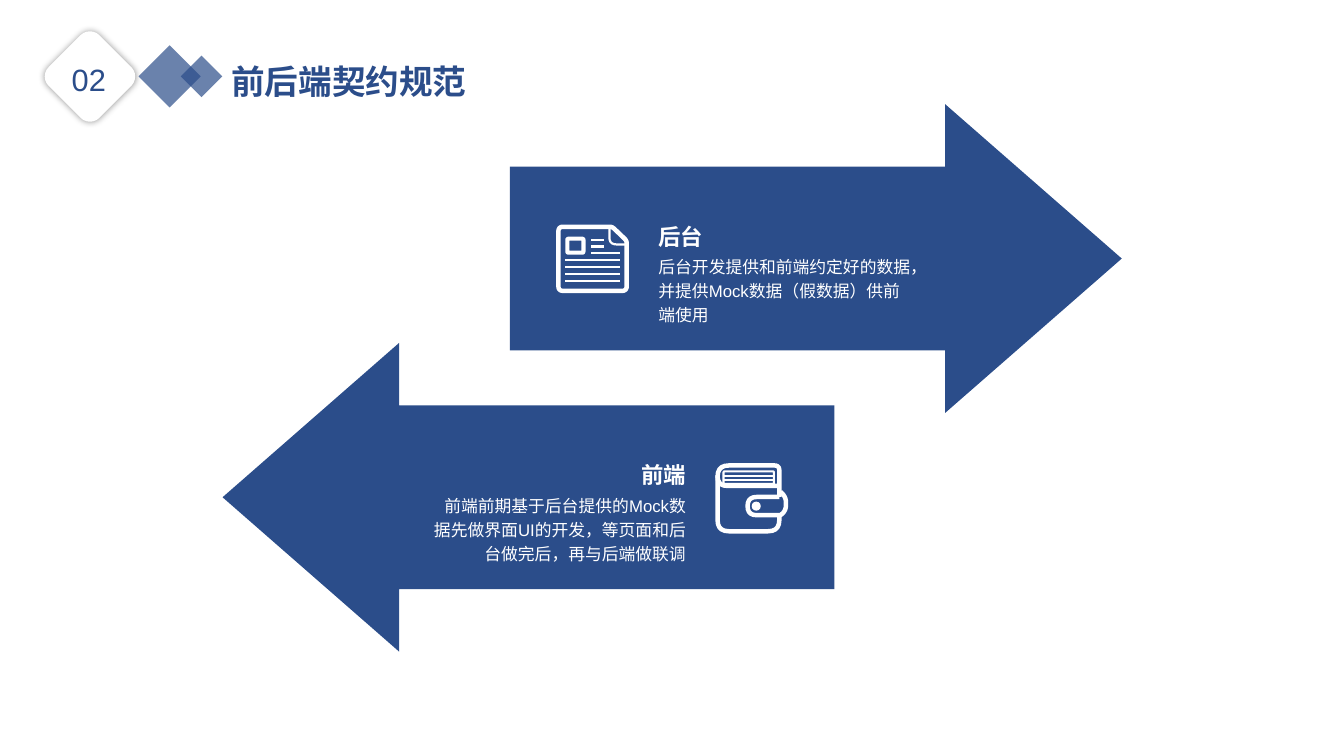
from dataclasses import dataclass

from lxml.etree import SubElement
from pptx import Presentation
from pptx.dml.color import RGBColor
from pptx.enum.lang import MSO_LANGUAGE_ID
from pptx.enum.shapes import MSO_CONNECTOR, MSO_SHAPE
from pptx.enum.text import MSO_ANCHOR, MSO_AUTO_SIZE, PP_ALIGN
from pptx.oxml.ns import qn
from pptx.util import Pt


@dataclass(frozen=True)
class Theme:
    navy: RGBColor = RGBColor(0x2B, 0x4D, 0x8A)
    white: RGBColor = RGBColor(0xFF, 0xFF, 0xFF)
    font: str = "Arial"
    title: float = 24
    number: float = 22
    heading: float = 16
    body: float = 12


THEME = Theme()


def place(item, left, top, width, height):
    item.left, item.top = Pt(left), Pt(top)
    item.width, item.height = Pt(width), Pt(height)


def write(holder, text, size, color, bold=False, align=PP_ALIGN.LEFT, inset=(0, 0)):
    """Fill a text box or placeholder with one unbulleted paragraph."""
    frame = holder.text_frame
    frame.text = text
    frame.word_wrap = True
    frame.auto_size = MSO_AUTO_SIZE.NONE
    frame.vertical_anchor = MSO_ANCHOR.TOP
    frame.margin_left = frame.margin_right = Pt(inset[0])
    frame.margin_top = frame.margin_bottom = Pt(inset[1])
    paragraph = frame.paragraphs[0]
    paragraph.alignment = align
    paragraph.line_spacing = 1.2
    paragraph.space_before = Pt(0)
    properties = paragraph._p.get_or_add_pPr()
    properties.set("marL", "0")
    properties.set("indent", "0")
    SubElement(properties, qn("a:buNone"))
    font = paragraph.runs[0].font
    font.name, font.size, font.bold = THEME.font, Pt(size), bold
    font.color.rgb = color
    font.language_id = MSO_LANGUAGE_ID.SIMPLIFIED_CHINESE


def add_filled(slide, kind, box, color, opacity=100):
    left, top, width, height = map(Pt, box)
    shape = slide.shapes.add_shape(kind, left, top, width, height)
    shape.shadow.inherit = False
    shape.fill.solid()
    shape.fill.fore_color.rgb = color
    shape.line.fill.background()
    if opacity < 100:
        tint = shape.fill._xPr.find(qn("a:solidFill"))[0]
        SubElement(tint, qn("a:alpha"), val=str(opacity * 1000))
    return shape


def round_corners(vertices, closed):
    """Turn (x, y, radius) vertices into points that follow each rounded corner."""
    points = []
    for i, (x, y, radius) in enumerate(vertices):
        if not radius or (not closed and i in (0, len(vertices) - 1)):
            points.append((x, y))
            continue
        ends = []
        for nx, ny, _ in (vertices[i - 1], vertices[(i + 1) % len(vertices)]):
            share = radius / ((nx - x) ** 2 + (ny - y) ** 2) ** 0.5
            ends.append((x + (nx - x) * share, y + (ny - y) * share))
        (ax, ay), (bx, by) = ends
        for t in (0, 0.2, 0.4, 0.6, 0.8, 1):
            a, c, b = (1 - t) ** 2, 2 * t * (1 - t), t * t
            points.append((a * ax + c * x + b * bx, a * ay + c * y + b * by))
    return points


def add_stroke(slide, origin, vertices, weight, closed=False):
    left, top = origin
    points = [(Pt(left + x), Pt(top + y)) for x, y in round_corners(vertices, closed)]
    builder = slide.shapes.build_freeform(*points[0])
    builder.add_line_segments(points[1:], close=closed)
    stroke = builder.convert_to_shape()
    stroke.shadow.inherit = False
    stroke.fill.background()
    stroke.line.color.rgb = THEME.white
    stroke.line.width = Pt(weight)


def add_rule(slide, origin, start, end, y, weight):
    left, top = origin
    rule = slide.shapes.add_connector(
        MSO_CONNECTOR.STRAIGHT, Pt(left + start), Pt(top + y), Pt(left + end), Pt(top + y))
    rule.line.color.rgb = THEME.white
    rule.line.width = Pt(weight)
    SubElement(rule._element.spPr, qn("a:effectLst"))


def draw_document(slide, origin):
    page = [(1.6, 1.6, 3.4), (40, 1.6, 2), (50.4, 11.6, 2), (50.4, 47.4, 3.4), (1.6, 47.4, 3.4)]
    fold = [(38, 3, 0), (38, 14.2, 5), (50, 14.2, 0)]
    photo = [(7.9, 10.1, 1), (19.5, 10.1, 1), (19.5, 20.1, 1), (7.9, 20.1, 1)]
    add_stroke(slide, origin, page, 3.2, closed=True)
    add_stroke(slide, origin, fold, 1.6)
    add_stroke(slide, origin, photo, 2.9, closed=True)
    spans = [(25, 34)] * 2 + [(25, 45.4)] + [(6.5, 45.4)] * 4
    for i, (start, end) in enumerate(spans):
        add_rule(slide, origin, start, end, 10.8 + 4.9 * i, 1.6)


def draw_wallet(slide, origin):
    body = [(45.7, 24.1, 0), (45.7, 1.6, 3.5), (1.6, 1.6, 8), (1.6, 48.6, 8),
            (45.7, 48.6, 8), (45.7, 37.1, 0)]
    flap = [(1.6, 8.6, 0), (1.6, 16.2, 7), (45.7, 16.2, 0)]
    clasp = [(45.7, 24.1, 0), (23, 24.1, 6.5), (23, 37.1, 6.5), (46.5, 37.1, 0),
             (50.4, 34, 4), (50.4, 24, 4), (46.5, 20.4, 0)]
    pages = [(5.8, 5.8, 1), (41.8, 5.8, 1), (41.8, 14.8, 0), (5.8, 14.8, 0)]
    for outline in (body, flap, clasp):
        add_stroke(slide, origin, outline, 3.2)
    add_stroke(slide, origin, pages, 1.5, closed=True)
    for y in (8.9, 12.1):
        add_rule(slide, origin, 5.8, 41.8, y, 1.5)
    left, top = origin
    add_filled(slide, MSO_SHAPE.OVAL, (left + 25.9, top + 27.4, 6.5, 6.5), THEME.white)


def draw_header(slide, left, top, number, title):
    badge = add_filled(slide, MSO_SHAPE.ROUNDED_RECTANGLE, (left, top, 48.5, 48.5), THEME.white)
    badge.rotation = 45
    badge.line.color.rgb = THEME.white
    badge.line.width = Pt(2.75)
    effects = badge._element.spPr.find(qn("a:effectLst"))
    shadow = SubElement(effects, qn("a:outerShdw"), blurRad=str(Pt(5)), dist="0", algn="ctr")
    black = SubElement(shadow, qn("a:srgbClr"), val="000000")
    SubElement(black, qn("a:alpha"), val="40000")
    label = slide.shapes.add_textbox(Pt(left), Pt(top + 8), Pt(47), Pt(32))
    write(label, number, THEME.number, THEME.navy, align=PP_ALIGN.CENTER)
    for offset, size in ((59, 44.4), (89.2, 29.6)):
        box = (left + offset, top + 24.2 - size / 2, size, size)
        add_filled(slide, MSO_SHAPE.DIAMOND, box, THEME.navy, opacity=70)
    place(slide.shapes.title, left + 118, top + 3.6, 210, 41)
    write(slide.shapes.title, title, THEME.title, THEME.navy, bold=True, inset=(7.2, 3.6))


def draw_arrow(slide, box, points_right, draw_icon, holders, heading, body):
    """Place an arrow with its icon at the tail and its text towards the head."""
    left, top, width, _ = box
    kind = MSO_SHAPE.RIGHT_ARROW if points_right else MSO_SHAPE.LEFT_ARROW
    arrow = add_filled(slide, kind, box, THEME.navy)
    arrow.adjustments[0], arrow.adjustments[1] = 0.595, 0.572
    icon_inset, icon_width, gap = 33, 52, 21
    text_inset = icon_inset + icon_width + gap
    icon_left = left + (icon_inset if points_right else width - icon_inset - icon_width)
    draw_icon(slide, (icon_left, top + 86))
    align = PP_ALIGN.LEFT if points_right else PP_ALIGN.RIGHT
    rows = ((heading, THEME.heading, True, 81, 102, 23), (body, THEME.body, False, 106, 184, 53))
    for holder, (text, size, bold, offset, text_width, height) in zip(holders, rows):
        text_left = left + (text_inset if points_right else width - text_inset - text_width)
        place(holder, text_left, top + offset, text_width, height)
        write(holder, text, size, THEME.white, bold, align)
        # Text sits above the arrow drawn after it.
        slide.shapes._spTree.append(holder._element)


def main():
    deck = Presentation()
    deck.slide_width, deck.slide_height = Pt(960), Pt(540)
    comparison = deck.slide_layouts[4]
    slide = deck.slides.add_slide(comparison)
    _, back_heading, back_body, front_heading, front_body = slide.placeholders
    draw_header(slide, 40, 30.4, "02", "前后端契约规范")
    draw_arrow(slide, (364.3, 74.4, 437, 220.6), True, draw_document,
               (back_heading, back_body), "后台",
               "后台开发提供和前端约定好的数据，并提供Mock数据（假数据）供前端使用")
    draw_arrow(slide, (159, 244.9, 437, 220.6), False, draw_wallet,
               (front_heading, front_body), "前端",
               "前端前期基于后台提供的Mock数据先做界面UI的开发，等页面和后台做完后，再与后端做联调")
    deck.save("out.pptx")


if __name__ == "__main__":
    main()
